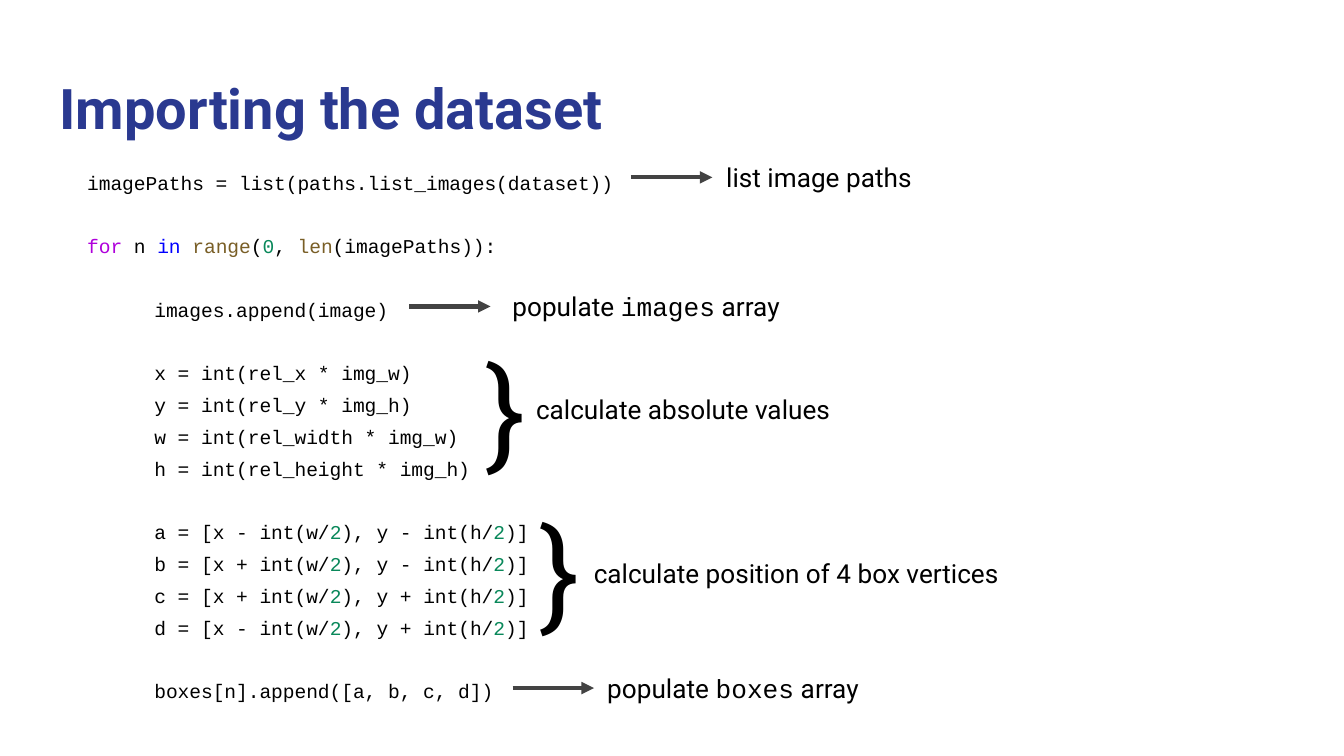
from dataclasses import dataclass

from lxml.etree import SubElement
from pptx import Presentation
from pptx.dml.color import RGBColor as Rgb
from pptx.enum.shapes import MSO_CONNECTOR as Connector
from pptx.oxml.ns import qn
from pptx.util import Emu, Pt

EMU_PER_PX = 4572  # 200 px to the inch
SANS, MONO = "Roboto", "Courier New"
CODE_GAP = 16.8  # space between code groups, in points
INSET = 20
COLORS = {
    "title": "2A3990",
    "text": "000000",
    "arrow": "434343",
    "keyword": "AF00DB",
    "operator": "0000FF",
    "builtin": "795E26",
    "number": "09885A",
}


@dataclass(frozen=True)
class Span:
    text: str
    color: str = ""
    font: str = ""


@dataclass(frozen=True)
class Line:
    spans: tuple[Span, ...]
    indent: int = 100
    gap: bool = False


@dataclass(frozen=True)
class Label:
    left: int
    top: int
    width: int
    height: int
    spans: tuple[Span, ...]
    size: int = 14
    color: str = "text"
    bold: bool = False


@dataclass(frozen=True)
class Arrow:
    left: int
    y: int
    length: int = 121


def px(length: int) -> Emu:
    return Emu(length * EMU_PER_PX)


def rgb(name: str) -> Rgb:
    return Rgb.from_string(COLORS[name])


def add_frame(page, left: int, top: int, width: int, height: int):
    box = page.shapes.add_textbox(px(left), px(top), px(width), px(height))
    frame = box.text_frame
    frame.word_wrap = True
    frame.margin_left = frame.margin_right = px(INSET)
    frame.margin_top = frame.margin_bottom = px(INSET)
    return frame


def fill_para(para, spans: tuple[Span, ...], font: str, size: float,
              color: str = "text", bold: bool = False) -> None:
    para.font.name, para.font.size, para.font.bold = font, Pt(size), bold
    para.font.color.rgb = rgb(color)
    for span in spans:
        run = para.add_run()
        run.text = span.text
        if span.color:
            run.font.color.rgb = rgb(span.color)
        if span.font:
            run.font.name = span.font


def add_label(page, label: Label) -> None:
    frame = add_frame(page, label.left, label.top, label.width, label.height)
    fill_para(frame.paragraphs[0], label.spans, SANS, label.size, label.color, label.bold)


def add_code(page, lines: list[Line]) -> None:
    frame = add_frame(page, 110, 222, 882, 892)
    for index, line in enumerate(lines):
        para = frame.add_paragraph() if index else frame.paragraphs[0]
        para.line_spacing = 1.36
        if line.gap:
            para.space_before = Pt(CODE_GAP)
        if line.indent:
            properties = para._p.get_or_add_pPr()
            properties.set("marL", str(px(line.indent)))
            properties.set("indent", "0")
        fill_para(para, line.spans, MONO, 10.5)


def add_arrow(page, arrow: Arrow) -> None:
    connector = page.shapes.add_connector(
        Connector.STRAIGHT, px(arrow.left), px(arrow.y),
        px(arrow.left + arrow.length), px(arrow.y))
    connector.line.color.rgb = rgb("arrow")
    connector.line.width = Pt(2.25)
    SubElement(connector.line._get_or_add_ln(), qn("a:tailEnd"), type="triangle")
    SubElement(connector._element.spPr, qn("a:effectLst"))


def vertex_line(name: str, x_sign: str, y_sign: str) -> Line:
    half = Span("2", "number")
    spans = (Span(f"{name} = [x {x_sign} int(w/"), half,
             Span(f"), y {y_sign} int(h/"), half, Span(")]"))
    return Line(spans, gap=name == "a")


def size_line(name: str, source: str, extent: str) -> Line:
    return Line((Span(f"{name} = int(rel_{source} * img_{extent})"),), gap=name == "x")


def array_note(left: int, top: int, array: str) -> Label:
    return Label(left, top, 452, 88, (Span("populate "), Span(array, font=MONO), Span(" array")))


def brace(left: int, top: int) -> Label:
    return Label(left, top, 144, 256, (Span("}"),), size=64)


CODE = [
    Line((Span("imagePaths = list(paths.list_images(dataset))"),), indent=0),
    Line((Span("for", "keyword"), Span(" n "), Span("in", "operator"), Span(" "),
          Span("range", "builtin"), Span("("), Span("0", "number"), Span(", "),
          Span("len", "builtin"), Span("(imagePaths)):")), indent=0, gap=True),
    Line((Span("images.append(image)"),), gap=True),
    *(size_line(*parts) for parts in (
        ("x", "x", "w"), ("y", "y", "h"), ("w", "width", "w"), ("h", "height", "h"))),
    *(vertex_line(*parts) for parts in ("a--", "b+-", "c++", "d-+")),
    Line((Span("boxes[n].append([a, b, c, d])"),), gap=True),
]

LABELS = [
    Label(69, 90, 1864, 132, (Span("Importing the dataset"),), 30, "title", True),
    Label(1061, 220, 318, 88, (Span("list image paths"),)),
    array_note(743, 412, "images"),
    array_note(884, 980, "boxes"),
    brace(703, 479),
    brace(783, 718),
    Label(778, 565, 612, 88, (Span("calculate absolute values"),)),
    Label(864, 810, 672, 88, (Span("calculate position of 4 box vertices"),)),
]

ARROWS = [Arrow(939, 264), Arrow(609, 456), Arrow(763, 1024)]


def main() -> None:
    deck = Presentation()
    deck.slide_width, deck.slide_height = px(2000), px(1125)
    page = deck.slides.add_slide(deck.slide_layouts[6])

    # Code listing
    add_code(page, CODE)

    # Title, notes and braces
    for label in LABELS:
        add_label(page, label)

    # Arrows from code to notes
    for arrow in ARROWS:
        add_arrow(page, arrow)

    deck.save("out.pptx")


if __name__ == "__main__":
    main()
